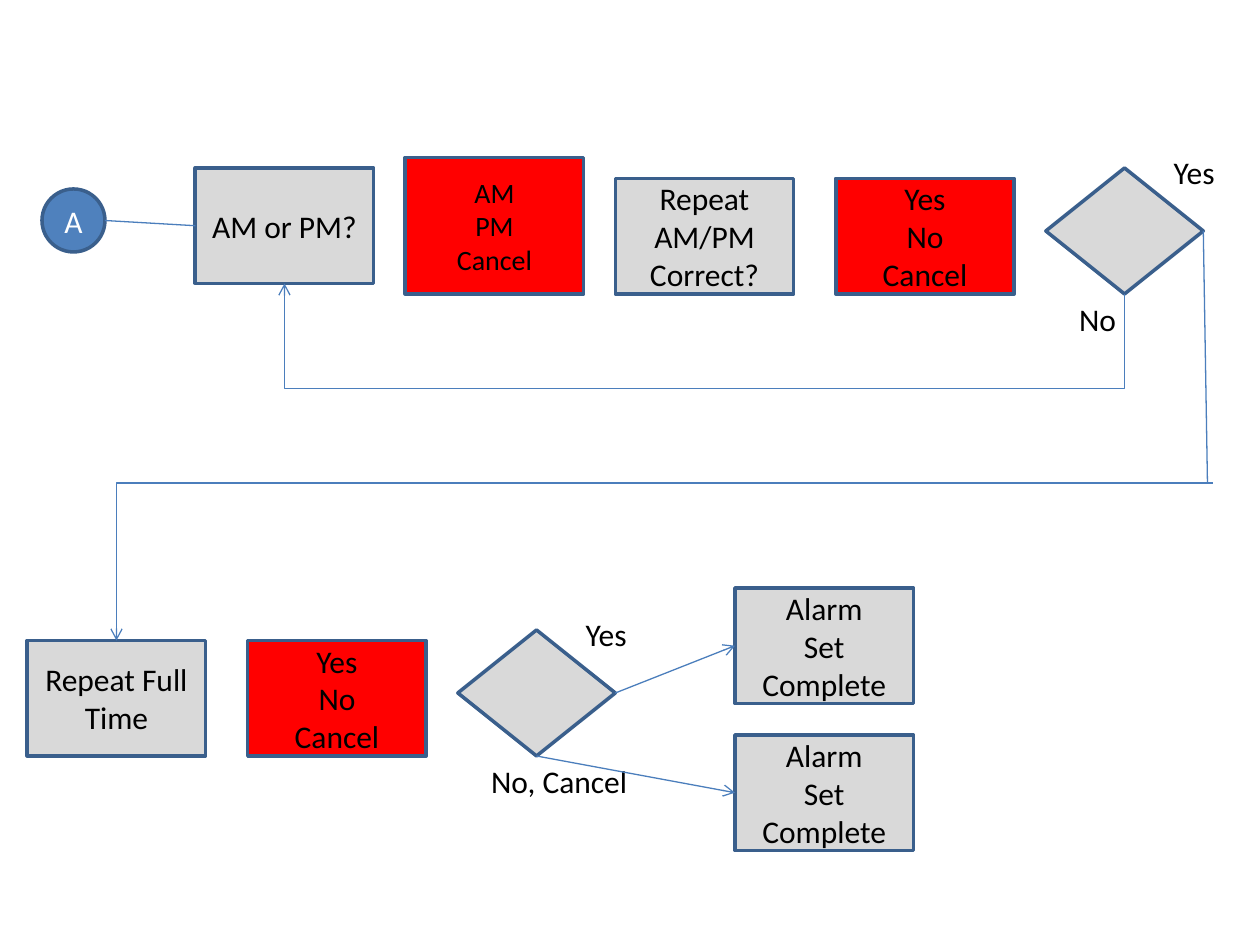
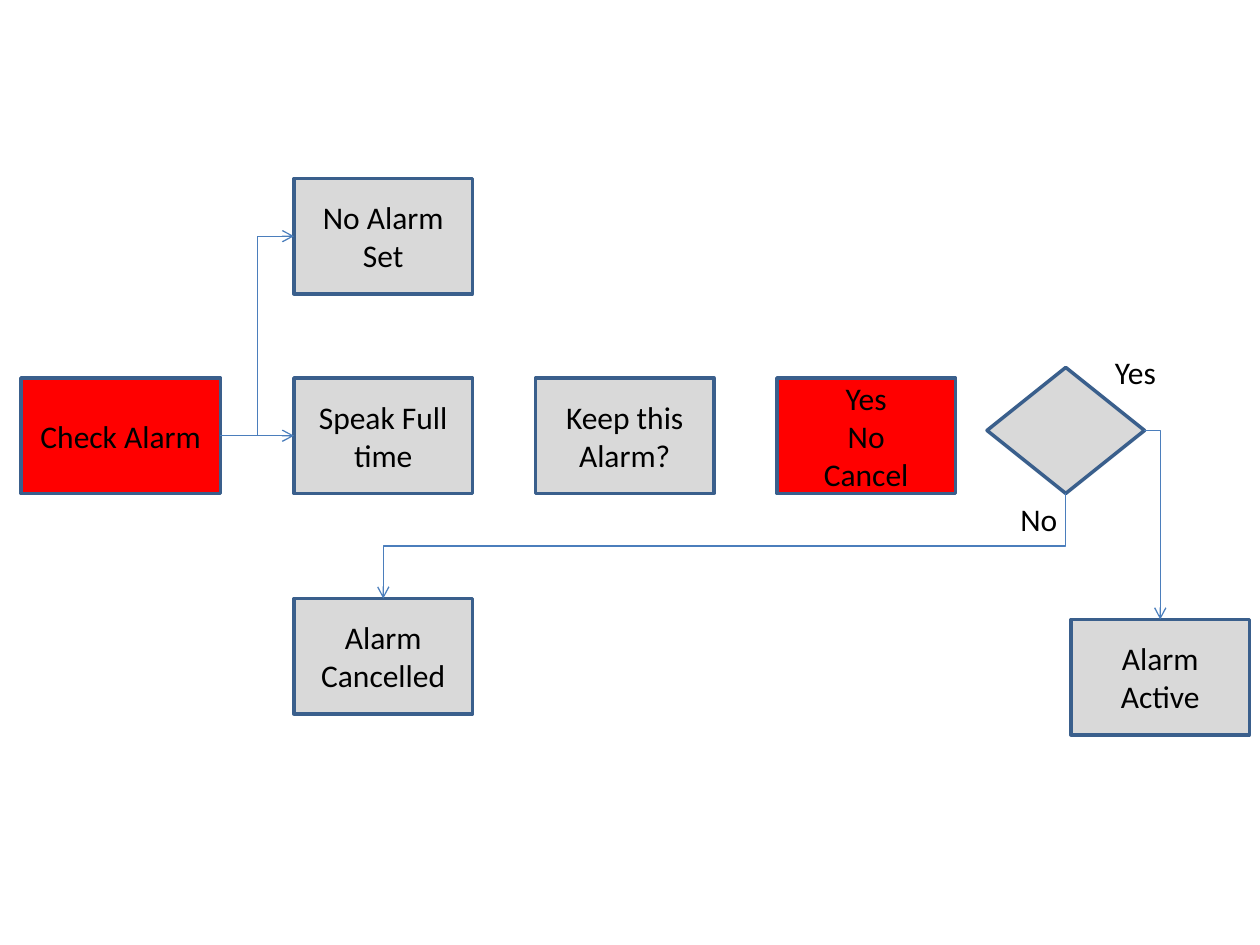
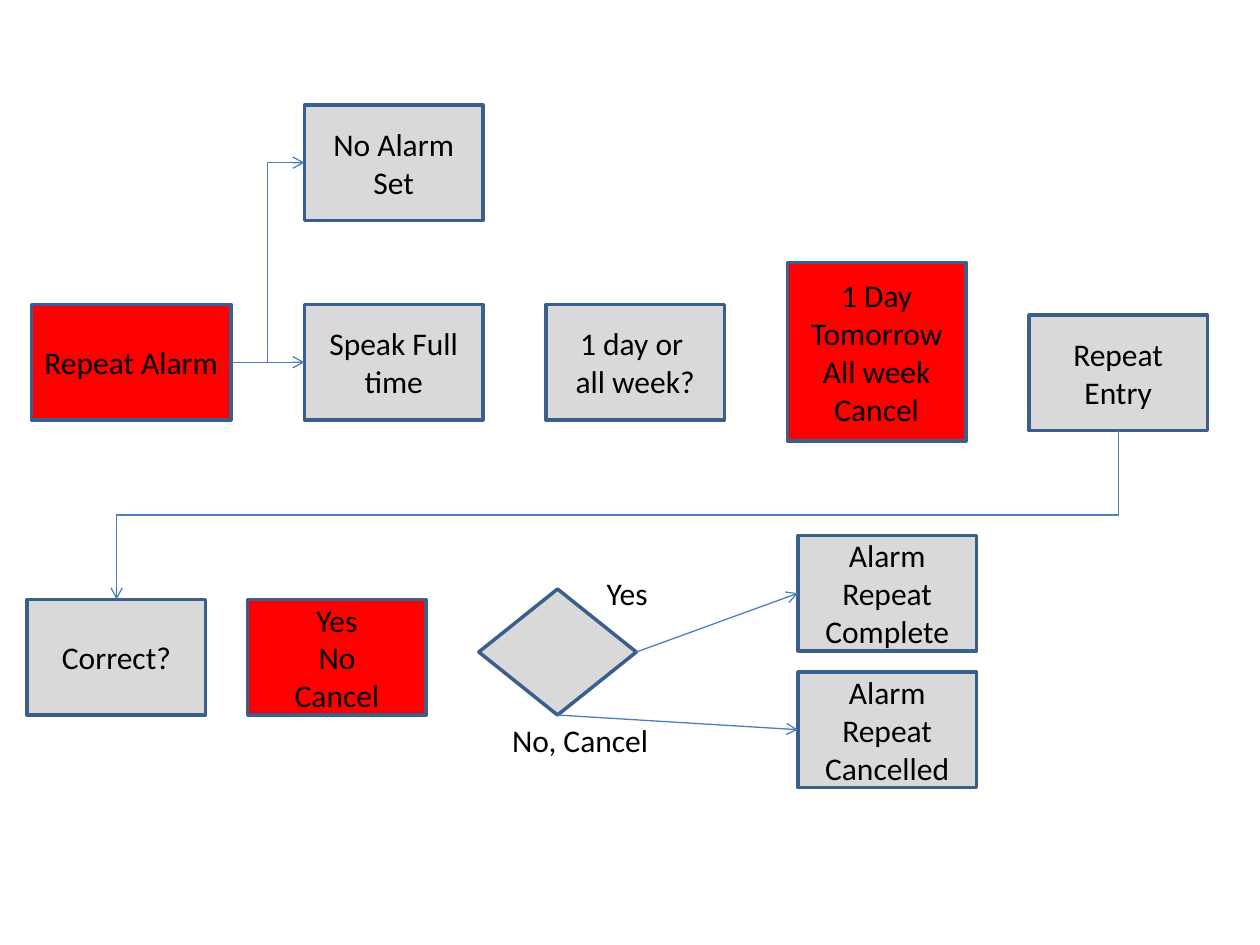
from dataclasses import dataclass
from typing import NamedTuple

from lxml import etree
from pptx import Presentation
from pptx.dml.color import RGBColor
from pptx.enum.shapes import MSO_CONNECTOR, MSO_SHAPE
from pptx.enum.text import MSO_ANCHOR, MSO_AUTO_SIZE, PP_ALIGN
from pptx.oxml.ns import qn
from pptx.shapes.autoshape import Shape
from pptx.shapes.connector import Connector
from pptx.slide import Slide
from pptx.util import Inches, Pt

RECTANGLE = MSO_SHAPE.RECTANGLE
DIAMOND = MSO_SHAPE.FLOWCHART_DECISION
CIRCLE = MSO_SHAPE.OVAL
STRAIGHT = MSO_CONNECTOR.STRAIGHT
ELBOW = MSO_CONNECTOR.ELBOW
CENTER = PP_ALIGN.CENTER
MIDDLE = MSO_ANCHOR.MIDDLE
FIT_SHAPE = MSO_AUTO_SIZE.SHAPE_TO_FIT_TEXT
TOP, LEFT, BOTTOM, RIGHT = range(4)

SLIDE_WIDTH = Inches(10)
SLIDE_HEIGHT = Inches(7.5)
COLUMNS = 120
CELL = SLIDE_WIDTH // COLUMNS
BLANK_LAYOUT = 6


@dataclass(frozen=True)
class Theme:
    font: str = "Calibri"
    text_size: float = 18
    small_size: float = 16
    outline_width: float = 2
    link_width: float = 0.75
    text: RGBColor = RGBColor(0x00, 0x00, 0x00)
    light_text: RGBColor = RGBColor(0xFF, 0xFF, 0xFF)
    spoken: RGBColor = RGBColor(0xD9, 0xD9, 0xD9)
    command: RGBColor = RGBColor(0xFF, 0x00, 0x00)
    marker: RGBColor = RGBColor(0x4F, 0x81, 0xBD)
    outline: RGBColor = RGBColor(0x3A, 0x5F, 0x8C)
    link: RGBColor = RGBColor(0x4B, 0x7E, 0xBC)


THEME = Theme()
YES_NO_CANCEL = "Yes\nNo\nCancel"


@dataclass(frozen=True)
class Step:
    text: str
    column: float
    row: float
    fill: RGBColor = THEME.spoken
    width: float = 17
    height: float = 11
    kind: MSO_SHAPE = RECTANGLE
    size: float = THEME.text_size
    color: RGBColor = THEME.text


class Point(NamedTuple):
    x: int
    y: int


class Port(NamedTuple):
    shape: Shape
    side: int


def cells(count: float) -> int:
    return round(count * CELL)


def locate(end: Point | Port) -> Point:
    if isinstance(end, Point):
        return end
    shape, side = end
    across = {LEFT: 0, RIGHT: 2}.get(side, 1)
    down = {TOP: 0, BOTTOM: 2}.get(side, 1)
    return Point(shape.left + shape.width * across // 2, shape.top + shape.height * down // 2)


def write_text(shape: Shape, text: str, size: float, color: RGBColor) -> None:
    shape.text_frame.text = text
    for paragraph in shape.text_frame.paragraphs:
        paragraph.font.name = THEME.font
        paragraph.font.size = Pt(size)
        paragraph.font.color.rgb = color


def draw_step(slide: Slide, step: Step) -> Shape:
    shape = slide.shapes.add_shape(
        step.kind, cells(step.column), cells(step.row), cells(step.width), cells(step.height)
    )
    shape.shadow.inherit = False
    shape.fill.solid()
    shape.fill.fore_color.rgb = step.fill
    shape.line.color.rgb = THEME.outline
    shape.line.width = Pt(THEME.outline_width)
    if step.text:
        write_text(shape, step.text, step.size, step.color)
        shape.text_frame.word_wrap = True
        shape.text_frame.vertical_anchor = MIDDLE
        for paragraph in shape.text_frame.paragraphs:
            paragraph.alignment = CENTER
    return shape


def draw_label(slide: Slide, text: str, column: float, row: float, width: float) -> None:
    label = slide.shapes.add_textbox(cells(column), cells(row), cells(width), Inches(0.4))
    write_text(label, text, THEME.text_size, THEME.text)
    label.text_frame.word_wrap = False
    label.text_frame.auto_size = FIT_SHAPE


def draw_decision(
    slide: Slide, column: float, row: float, refusal: str = "No", refusal_width: float = 6
) -> Shape:
    diamond = draw_step(slide, Step("", column, row, width=15, height=12, kind=DIAMOND))
    draw_label(slide, refusal, column + 2, row + 12, refusal_width)
    draw_label(slide, "Yes", column + 11, row - 2, 6.4)
    return diamond


def style_link(link: Connector, arrow: bool = True) -> None:
    link.line.color.rgb = THEME.link
    link.line.width = Pt(THEME.link_width)
    properties = link.element.spPr
    if arrow:
        etree.SubElement(properties.find(qn("a:ln")), qn("a:tailEnd"), type="arrow")
    etree.SubElement(properties, qn("a:effectLst"))


def draw_line(slide: Slide, begin: Point | Port, end: Point | Port, arrow: bool = True) -> None:
    link = slide.shapes.add_connector(STRAIGHT, *locate(begin), *locate(end))
    if isinstance(begin, Port):
        link.begin_connect(*begin)
    if isinstance(end, Port):
        link.end_connect(*end)
    style_link(link, arrow)


def draw_corner(slide: Slide, begin: Point | Port, end: Port) -> None:
    link = slide.shapes.add_connector(ELBOW, *locate(begin), *locate(end))
    link.element.spPr.find(qn("a:prstGeom")).set("prst", "bentConnector2")
    style_link(link)


def draw_side_step(slide: Slide, begin: Port, end: Port) -> None:
    style_link(slide.shapes.add_connector(ELBOW, *locate(begin), *locate(end)))


def draw_return(slide: Slide, begin: Port, end: Port, bend: float = 0.5) -> None:
    start, finish = locate(begin), locate(end)
    center_x, center_y = (start.x + finish.x) // 2, (start.y + finish.y) // 2
    half_x, half_y = (finish.x - start.x) // 2, (finish.y - start.y) // 2
    link = slide.shapes.add_connector(
        ELBOW, center_x - half_y, center_y + half_x, center_x + half_y, center_y - half_x
    )
    properties = link.element.spPr
    properties.find(qn("a:xfrm")).set("rot", str(90 * 60000))
    geometry = properties.find(qn("a:prstGeom"))
    adjustments = geometry.find(qn("a:avLst"))
    if adjustments is None:
        adjustments = etree.SubElement(geometry, qn("a:avLst"))
    etree.SubElement(adjustments, qn("a:gd"), name="adj1", fmla=f"val {round(bend * 100000)}")
    style_link(link)


def draw_alarm_lookup(slide: Slide, command: str, column: float, row: float) -> None:
    request = draw_step(slide, Step(command, column, row, THEME.command, width=19))
    missing = draw_step(slide, Step("No Alarm Set", column + 26, row - 19))
    spoken = draw_step(slide, Step("Speak Full time", column + 26, row))
    draw_side_step(slide, Port(request, RIGHT), Port(missing, LEFT))
    draw_line(slide, Port(request, RIGHT), Port(spoken, LEFT))


def draw_confirmation(
    slide: Slide, prompt: str, row: float, decision_column: float, accepted: Step, refused: Step
) -> Shape:
    question = draw_step(slide, Step(prompt, 2.6, row))
    draw_step(slide, Step(YES_NO_CANCEL, 23.6, row, THEME.command))
    decision = draw_decision(slide, decision_column, row - 1, "No, Cancel", 15.5)
    for side, outcome in ((RIGHT, accepted), (BOTTOM, refused)):
        draw_line(slide, Port(decision, side), Port(draw_step(slide, outcome), LEFT))
    return question


def build_time_of_day(slide: Slide) -> None:
    question = draw_step(slide, Step("AM or PM?", 18.6, 16))
    draw_step(
        slide,
        Step("AM\nPM\nCancel", 38.6, 15, THEME.command, height=13, size=THEME.small_size),
    )
    draw_step(slide, Step("Repeat AM/PM\nCorrect?", 58.6, 17))
    draw_step(slide, Step(YES_NO_CANCEL, 79.6, 17, THEME.command))
    decision = draw_decision(slide, 99.6, 16)
    draw_return(slide, Port(decision, BOTTOM), Port(question, BOTTOM), -9)
    marker = draw_step(
        slide, Step("A", 4, 18, THEME.marker, 6, 6, CIRCLE, color=THEME.light_text)
    )
    draw_line(slide, locate(Port(marker, RIGHT)), Port(question, LEFT), arrow=False)
    repeat = draw_confirmation(
        slide, "Repeat Full Time", 61, 43.6,
        Step("Alarm\nSet\nComplete", 70, 56),
        Step("Alarm\nSet\nComplete", 70, 70),
    )
    draw_corner(slide, Point(cells(115.5), cells(46)), Port(repeat, TOP))
    draw_line(slide, Port(decision, RIGHT), Point(cells(115), cells(46)), arrow=False)


def build_check_alarm(slide: Slide) -> None:
    draw_alarm_lookup(slide, "Check Alarm", 2, 36)
    draw_step(slide, Step("Keep this Alarm?", 51, 36))
    draw_step(slide, Step(YES_NO_CANCEL, 74, 36, THEME.command))
    decision = draw_decision(slide, 94, 35)
    cancelled = draw_step(slide, Step("Alarm Cancelled", 28, 57))
    active = draw_step(slide, Step("Alarm\nActive", 102, 59))
    draw_corner(slide, Port(decision, RIGHT), Port(active, TOP))
    draw_return(slide, Port(decision, BOTTOM), Port(cancelled, TOP))


def build_repeat_alarm(slide: Slide) -> None:
    draw_alarm_lookup(slide, "Repeat Alarm", 3, 29)
    draw_step(slide, Step("1 day or \vall week?", 52, 29))
    draw_step(
        slide, Step("1 Day\nTomorrow\nAll week\nCancel", 75, 25, THEME.command, height=17)
    )
    entry = draw_step(slide, Step("Repeat\nEntry", 98, 30))
    correct = draw_confirmation(
        slide, "Correct?", 57.1, 45.6,
        Step("Alarm\nRepeat\nComplete", 76, 51),
        Step("Alarm\nRepeat\nCancelled", 76, 64),
    )
    draw_return(slide, Port(entry, BOTTOM), Port(correct, TOP))


def main() -> None:
    presentation = Presentation()
    presentation.slide_width = SLIDE_WIDTH
    presentation.slide_height = SLIDE_HEIGHT
    for build in (build_time_of_day, build_check_alarm, build_repeat_alarm):
        build(presentation.slides.add_slide(presentation.slide_layouts[BLANK_LAYOUT]))
    presentation.save("out.pptx")


if __name__ == "__main__":
    main()
